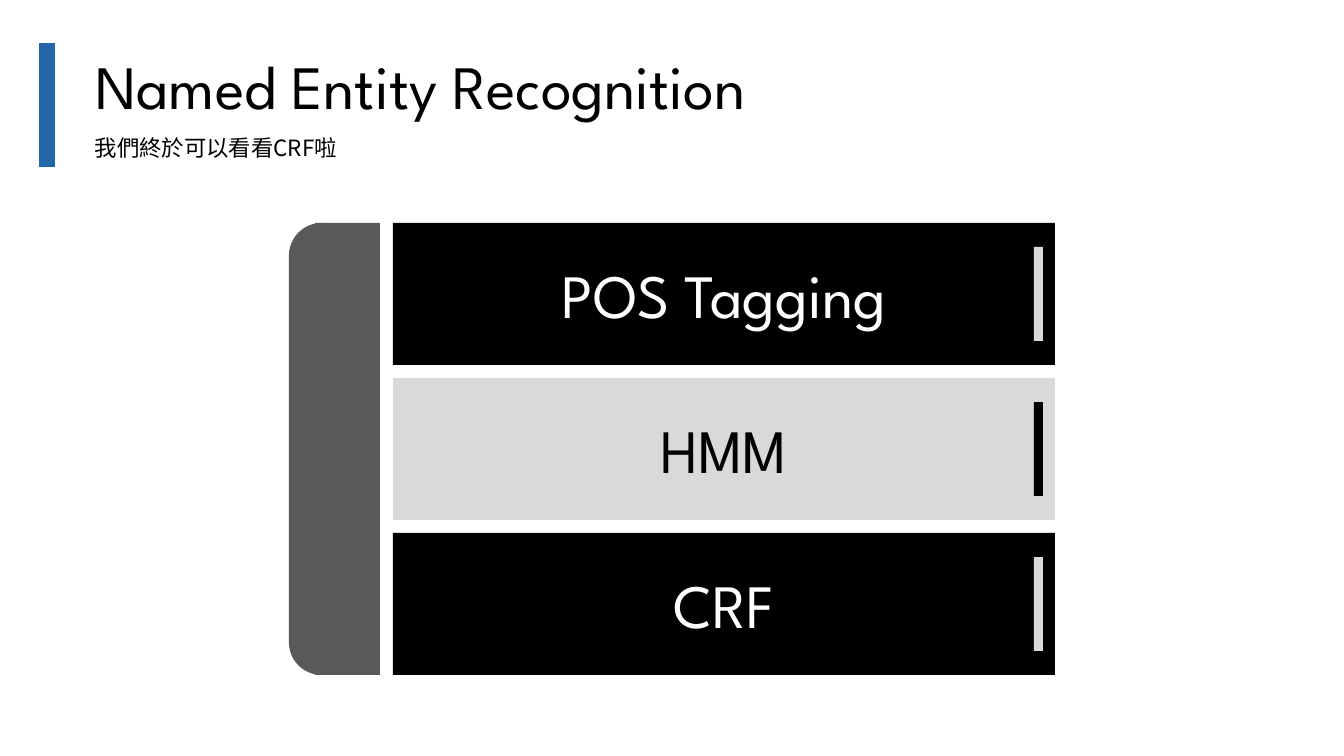
from lxml import etree
from pptx import Presentation
from pptx.dml.color import RGBColor
from pptx.enum.shapes import MSO_SHAPE
from pptx.enum.text import MSO_ANCHOR, MSO_AUTO_SIZE, PP_ALIGN
from pptx.oxml.ns import qn
from pptx.util import Emu, Pt

RECTANGLE, ROUNDED = MSO_SHAPE.RECTANGLE, MSO_SHAPE.ROUNDED_RECTANGLE
TOP, MIDDLE = MSO_ANCHOR.TOP, MSO_ANCHOR.MIDDLE
LEFT, CENTER = PP_ALIGN.LEFT, PP_ALIGN.CENTER
NO_AUTOFIT = MSO_AUTO_SIZE.NONE

HEADING = "Named Entity Recognition"
SUBHEADING = "我們終於可以看看CRF啦"
TOPICS = ["POS Tagging", "HMM", "CRF"]
LATIN, CHINESE = "League Spartan", "Noto Sans CJK SC"
BLACK, WHITE, LIGHT, GRAY, BLUE = "000000", "FFFFFF", "D9D9D9", "595959", "2467A8"

PX = 914400 / 100.8
BAR_LEFT, BAR_TOP, BAR_WIDTH, BAR_HEIGHT, BAR_PITCH = 393, 223, 662, 142, 155
MARK_LEFT, MARK_INSET, MARK_WIDTH = 1034, 24, 9
SPINE_LEFT, SPINE_WIDTH, SPINE_OVERLAP = 289, 65, 39


def px(length):
    return Emu(round(length * PX))


def color(value):
    return RGBColor.from_string(value)


def add_block(slide, left, top, width, height, fill, preset=RECTANGLE):
    block = slide.shapes.add_shape(preset, px(left), px(top), px(width), px(height))
    block.shadow.inherit = False
    block.fill.solid()
    block.fill.fore_color.rgb = color(fill)
    block.line.fill.background()
    return block


def write(holder, words, size, face, ink, align, anchor):
    frame = holder.text_frame
    frame.word_wrap = True
    frame.auto_size = NO_AUTOFIT
    frame.vertical_anchor = anchor
    paragraph = frame.paragraphs[0]
    paragraph.text = words
    paragraph.alignment = align
    font = paragraph.font
    font.size, font.name = Pt(size), face
    font.color.rgb = color(ink)
    east_asian = etree.SubElement(font._element, qn("a:ea"))
    east_asian.set("typeface", face)


def main():
    deck = Presentation()
    deck.slide_width, deck.slide_height = px(1344), px(756)
    slide = deck.slides.add_slide(deck.slide_layouts[5])

    title = slide.shapes.title
    title.left, title.top, title.width, title.height = px(85), px(43), px(802), px(85)
    write(title, HEADING, 44, LATIN, BLACK, LEFT, TOP)
    subtitle = slide.shapes.add_textbox(px(85), px(129), px(263), px(37))
    write(subtitle, SUBHEADING, 16, CHINESE, BLACK, LEFT, TOP)
    add_block(slide, 39, 43, 16, 124, BLUE)

    for index, topic in enumerate(TOPICS):
        fill, ink, mark = (LIGHT, BLACK, BLACK) if index % 2 else (BLACK, WHITE, LIGHT)
        top = BAR_TOP + index * BAR_PITCH
        bar = add_block(slide, BAR_LEFT, top, BAR_WIDTH, BAR_HEIGHT, fill)
        write(bar, topic, 44, LATIN, ink, CENTER, MIDDLE)
        add_block(slide, MARK_LEFT, top + MARK_INSET, MARK_WIDTH,
                  BAR_HEIGHT - 2 * MARK_INSET, mark)

    spine_height = (len(TOPICS) - 1) * BAR_PITCH + BAR_HEIGHT
    add_block(slide, SPINE_LEFT + SPINE_WIDTH - SPINE_OVERLAP, BAR_TOP,
              SPINE_WIDTH, spine_height, GRAY)
    rounded = add_block(slide, SPINE_LEFT, BAR_TOP, SPINE_WIDTH, spine_height, GRAY, ROUNDED)
    rounded.adjustments[0] = 0.5

    deck.save("out.pptx")


if __name__ == "__main__":
    main()
